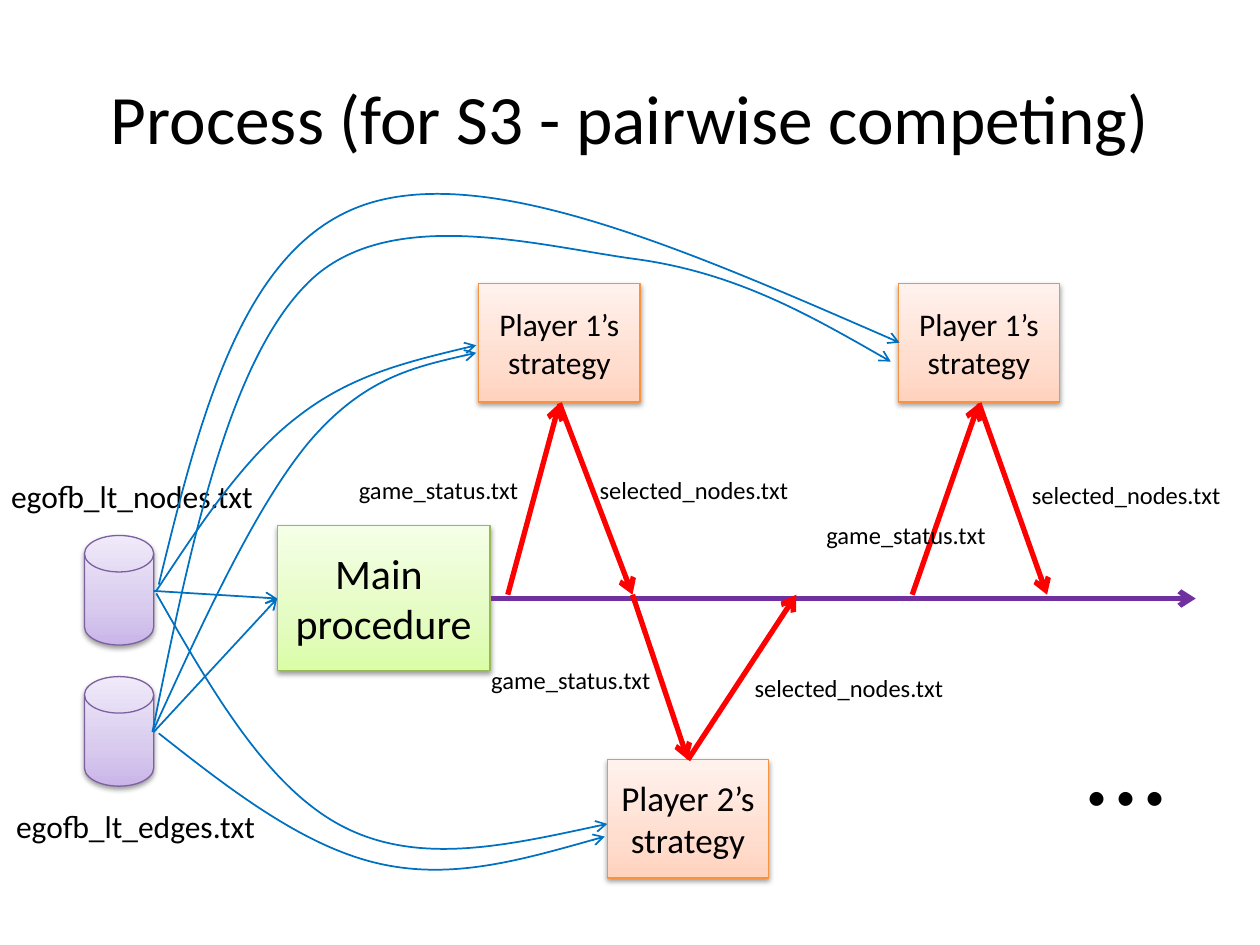
"""Builds the slide on the pairwise competing process."""
from copy import deepcopy
from dataclasses import dataclass

from lxml.etree import SubElement
from pptx import Presentation
from pptx.dml.color import RGBColor
from pptx.enum.shapes import MSO_CONNECTOR, MSO_SHAPE
from pptx.enum.text import MSO_ANCHOR, MSO_AUTO_SIZE, PP_ALIGN
from pptx.oxml.ns import qn
from pptx.util import Inches, Pt


@dataclass(frozen=True)
class Theme:
    font: str = "Calibri"
    ink: str = "000000"
    red: str = "FF0000"
    blue: str = "0070C0"
    purple: str = "7030A0"
    green: tuple = ("98B955", "DAFDA7", "E4FCC2", "F5FFE7")
    orange: tuple = ("F69240", "FFD2BD", "FFDED0", "FFF2ED")
    violet: tuple = ("7D60A0", "C9B5E8", "D8CBEE", "F0EAF9")
    title: float = 39.6
    main: int = 24
    large: int = 20
    body: int = 18
    label: int = 14
    dots: int = 66
    thin: int = 1
    thick: int = 3
    edge: float = 0.75


class Board:
    def __init__(self, slide, theme):
        self.shapes = slide.shapes
        self.theme = theme

    def letter(self, frame, text, size, align):
        frame.text = text
        for para in frame.paragraphs:
            para.alignment = align
            para.font.name = self.theme.font
            para.font.size = Pt(size)
            para.font.color.rgb = RGBColor.from_string(self.theme.ink)

    def text(self, box, text, size, wrap=True, align=PP_ALIGN.LEFT):
        frame = self.shapes.add_textbox(*map(Inches, box)).text_frame
        frame.word_wrap = wrap
        frame.auto_size = MSO_AUTO_SIZE.SHAPE_TO_FIT_TEXT
        self.letter(frame, text, size, align)
        return frame

    def title(self, box, text):
        frame = self.text(box, text, self.theme.title, align=PP_ALIGN.CENTER)
        frame.auto_size = MSO_AUTO_SIZE.NONE
        frame.vertical_anchor = MSO_ANCHOR.MIDDLE

    def block(self, kind, box, tones, text="", size=18):
        shape = self.shapes.add_shape(kind, *map(Inches, box))
        edge, *shades = tones
        shape.fill.gradient()
        shape.fill.gradient_angle = 90
        first = shape._element.spPr.find(".//" + qn("a:gs"))
        first.addnext(deepcopy(first))
        for stop, place, shade in zip(shape.fill.gradient_stops, (0, 0.35, 1), shades):
            stop.position = place
            stop.color.rgb = RGBColor.from_string(shade)
        shape.line.color.rgb = RGBColor.from_string(edge)
        shape.line.width = Pt(self.theme.edge)
        self.shade(shape)
        if text:
            shape.text_frame.vertical_anchor = MSO_ANCHOR.MIDDLE
            self.letter(shape.text_frame, text, size, PP_ALIGN.CENTER)

    def shade(self, shape):
        shape.shadow.inherit = False
        effects = shape._element.spPr.find(qn("a:effectLst"))
        cast = SubElement(effects, qn("a:outerShdw"), blurRad=str(Pt(3.1)),
                          dist=str(Pt(1.6)), dir="5400000", rotWithShape="0")
        tint = SubElement(cast, qn("a:srgbClr"), val=self.theme.ink)
        SubElement(tint, qn("a:alpha"), val="38000")

    def stroke(self, shape, color, width):
        shape.line.color.rgb = RGBColor.from_string(color)
        shape.line.width = Pt(width)
        line = shape._element.spPr.find(qn("a:ln"))
        SubElement(line, qn("a:tailEnd"), type="arrow")

    def arrow(self, start, end, color, width):
        line = self.shapes.add_connector(MSO_CONNECTOR.STRAIGHT, *map(Inches, start + end))
        self.stroke(line, color, width)
        SubElement(line._element.spPr, qn("a:effectLst"))

    def curve(self, start, *points):
        pen = self.shapes.build_freeform(*map(Inches, start))
        pen.add_line_segments([tuple(map(Inches, p)) for p in points], close=False)
        shape = pen.convert_to_shape()
        trace = shape._element.spPr.find(".//" + qn("a:path"))
        steps = trace.findall(qn("a:lnTo"))
        for i in range(0, len(steps), 3):
            bend = SubElement(trace, qn("a:cubicBezTo"))
            for step in steps[i:i + 3]:
                bend.append(step[0])
                trace.remove(step)
        shape.fill.background()
        shape.shadow.inherit = False
        self.stroke(shape, self.theme.blue, self.theme.thin)


deck = Presentation()
deck.slide_width, deck.slide_height = Inches(10), Inches(7.5)
theme = Theme()
board = Board(deck.slides.add_slide(deck.slide_layouts[6]), theme)

board.title((0.5, 0.3, 9, 1.25), "Process (for S3 - pairwise competing)")
board.block(MSO_SHAPE.RECTANGLE, (2.2, 4.17, 1.69, 1.15), theme.green,
            "Main \nprocedure", theme.main)
board.arrow((3.9, 4.75), (9.49, 4.75), theme.purple, theme.thick)

for top in (4.25, 5.37):
    board.block(MSO_SHAPE.FLOWCHART_MAGNETIC_DISK, (0.67, top, 0.55, 0.87), theme.violet)
    board.arrow((1.22, top + 0.44), (2.2, 4.75), theme.blue, theme.thin)
for left, top, width, name in ((-0.01, 3.74, 2.17, "nodes"), (0.03, 6.36, 2.14, "edges")):
    board.text((left, top, width, 0.4), f"egofb_lt_{name}.txt", theme.body)

for left, top, player, size in ((3.8, 2.25, 1, theme.body), (4.82, 6.03, 2, theme.large),
                                (7.13, 2.25, 1, theme.body)):
    board.block(MSO_SHAPE.RECTANGLE, (left, top, 1.28, 0.94), theme.orange,
                f"Player {player}\u2019s\nstrategy", size)

axis = 4.72
for leave, port, back in ((4.03, (4.44, 3.2), 5.02), (5.02, (5.46, 6.03), 6.32),
                          (7.24, (7.77, 3.2), 8.31)):
    board.arrow((leave, axis), port, theme.red, theme.thick)
    board.arrow(port, (back, axis), theme.red, theme.thick)

for left, top in ((2.75, 3.72), (3.8, 5.23), (6.46, 4.08)):
    board.text((left, top, 1.48, 0.34), "game_status.txt", theme.label, wrap=False)
for left, top in ((4.66, 3.72), (5.89, 5.29), (8.09, 3.76)):
    board.text((left, top, 1.91, 0.34), "selected_nodes.txt", theme.label)

for points in (
    ((1.24, 4.69), (1.59, 4.16), (1.94, 3.63), (2.36, 3.31),
     (2.78, 2.98), (3.28, 2.86), (3.78, 2.74)),
    ((1.26, 4.64), (1.59, 3.29), (1.93, 1.94), (2.91, 1.62),
     (3.89, 1.3), (5.51, 2.01), (7.14, 2.72)),
    ((1.22, 5.79), (1.63, 4.89), (2.04, 4), (2.46, 3.5),
     (2.89, 3), (3.34, 2.9), (3.78, 2.8)),
    ((1.24, 4.71), (1.68, 5.48), (2.12, 6.25), (2.72, 6.56),
     (3.32, 6.87), (4.07, 6.7), (4.82, 6.54)),
    ((1.21, 5.81), (1.51, 4.34), (1.81, 2.87), (2.45, 2.24), (3.09, 1.61),
     (4.3, 1.96), (5.07, 2.06), (5.84, 2.17), (6.46, 2.52), (7.07, 2.87)),
    ((1.26, 5.82), (1.83, 6.27), (2.4, 6.71), (2.99, 6.85),
     (3.58, 6.99), (4.19, 6.81), (4.8, 6.64)),
):
    board.curve(*points)

board.text((8.49, 5.43, 0.9, 1.21), "...", theme.dots, wrap=False)
deck.save("out.pptx")
